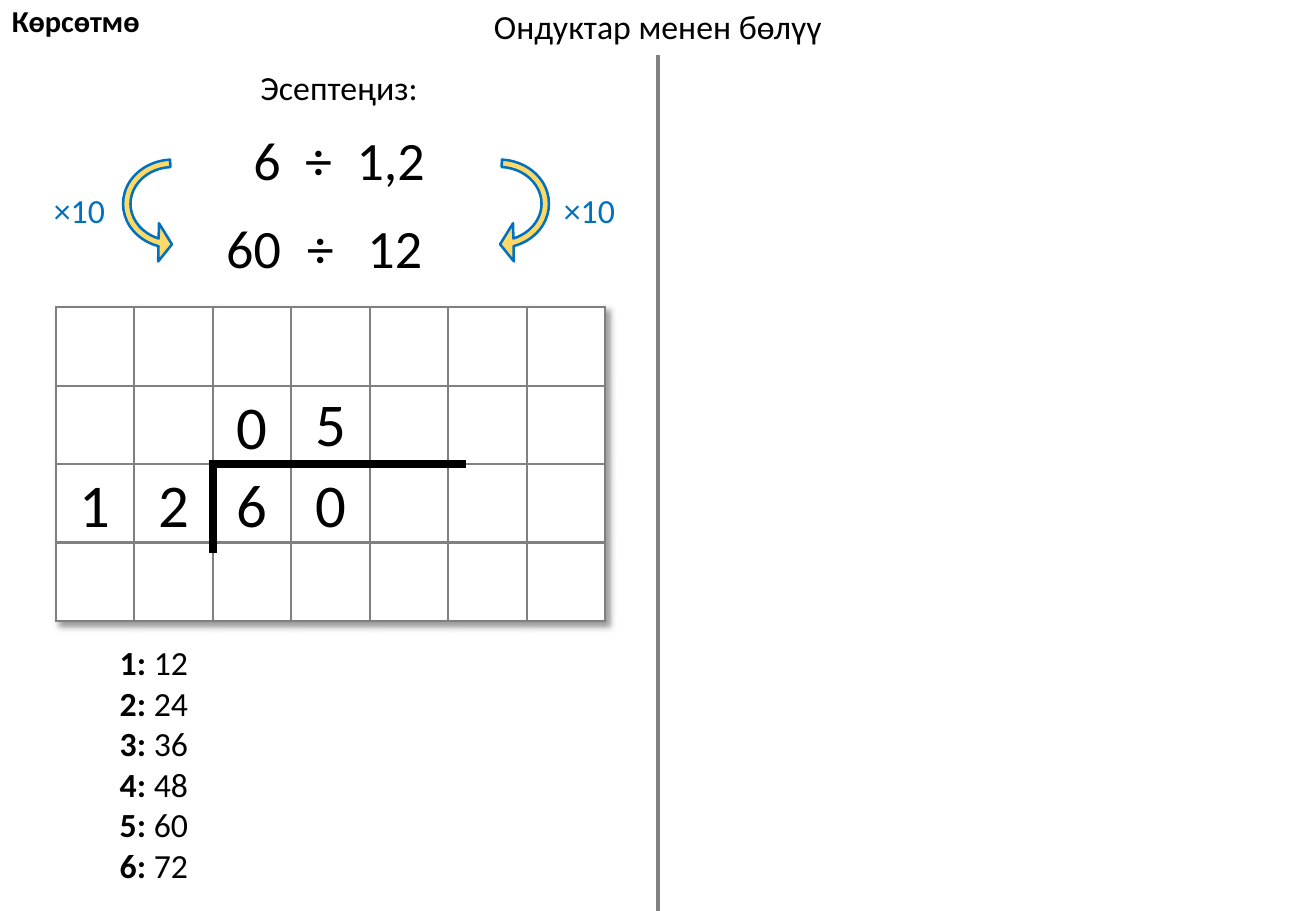
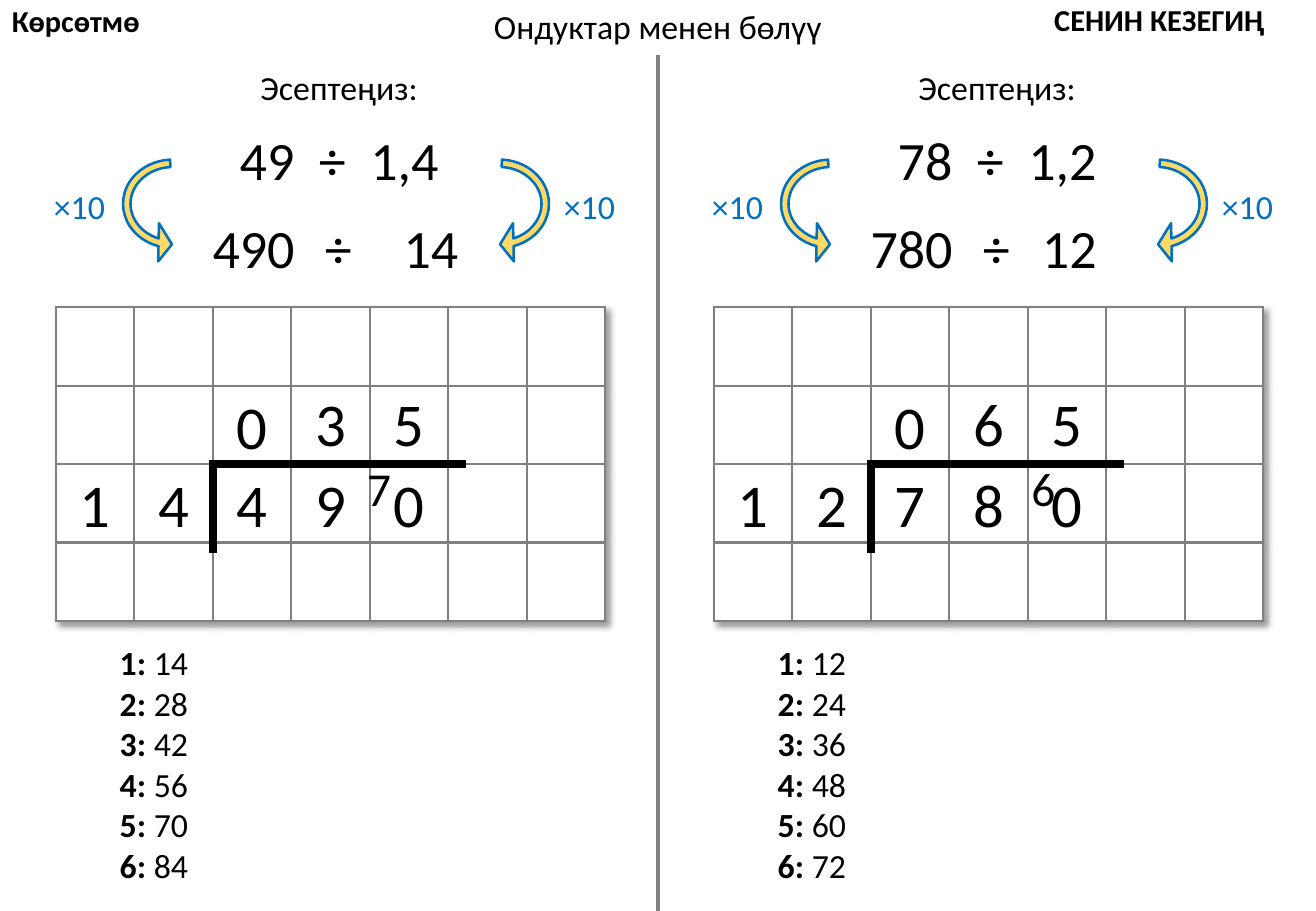
from dataclasses import dataclass

from lxml import etree
from pptx import Presentation, util as u
from pptx.dml.color import RGBColor
from pptx.enum import shapes, text
from pptx.oxml.ns import qn

BLACK = RGBColor(0x00, 0x00, 0x00)
WHITE = RGBColor(0xFF, 0xFF, 0xFF)
GRAY = RGBColor(0x80, 0x80, 0x80)
BLUE = RGBColor(0x00, 0x70, 0xC0)
GOLD = RGBColor(0xFF, 0xD9, 0x66)
FONT = "Calibri"
WIDTH, HEIGHT = u.Inches(10.83), u.Inches(7.5)
GRID_LEFT, GRID_TOP = u.Inches(0.46), u.Inches(2.53)
COLUMNS, ROWS = 7, 4
CELL = u.Inches(4.52) / COLUMNS
DIGIT_EM = 0.51
ARROW_ADJUSTMENTS = (0.0625, 11.423, 203.847, 110.164, 0.16)
CENTER = text.PP_ALIGN.CENTER


@dataclass
class Division:
    """One worked division and the places of its loose parts, in grid cells."""
    dividend: str
    divisor: str
    scaled: tuple
    quotient: str
    carried: tuple = ()
    factor_row: float = -1.28


def write(box, paragraphs, size, color=BLACK, align=CENTER):
    """Fill a box with paragraphs made of (text, bold) runs."""
    frame = box.text_frame
    frame.word_wrap = False
    frame.auto_size = text.MSO_AUTO_SIZE.SHAPE_TO_FIT_TEXT
    frame.vertical_anchor = text.MSO_ANCHOR.TOP
    for number, runs in enumerate(paragraphs):
        paragraph = frame.add_paragraph() if number else frame.paragraphs[0]
        paragraph.alignment = align
        for words, bold in runs:
            run = paragraph.add_run()
            run.text = words
            run.font.name, run.font.size, run.font.bold = FONT, u.Pt(size), bold
            run.font.color.rgb = color


def add_line(slide, start, end, color, weight):
    """Draw a straight line between two points."""
    line = slide.shapes.add_connector(shapes.MSO_CONNECTOR.STRAIGHT,
                                      *(int(v) for v in (*start, *end)))
    line.line.color.rgb, line.line.width = color, u.Pt(weight)
    etree.SubElement(line._element.spPr, qn("a:effectLst"))


def add_label(slide, center, paragraphs, size, ems, color=BLACK):
    """Place a text box, sized from its text, around a centre point."""
    width = u.Pt(ems * size) + u.Inches(0.2)
    height = u.Pt(1.22 * size * len(paragraphs)) + u.Inches(0.1)
    box = slide.shapes.add_textbox(int(center[0] - width / 2), int(center[1] - height / 2),
                                   width, height)
    write(box, paragraphs, size, color)
    return box


def add_number(slide, center, number, size, color=BLACK):
    """Place a short number or sign around a centre point."""
    add_label(slide, center, [[(number, False)]], size, DIGIT_EM * len(number), color)


def add_tag(slide, left, top, width, words):
    """Write a bold label in a top corner."""
    box = slide.shapes.add_textbox(int(left * WIDTH), int(top * HEIGHT),
                                   int(width * WIDTH), u.Inches(0.4))
    write(box, [[(words, True)]], 18, align=text.PP_ALIGN.LEFT)


def add_squared_paper(slide, left, top):
    """Draw the ruled grid with its soft shadow."""
    table = slide.shapes.add_table(ROWS, COLUMNS, int(left), int(top),
                                   int(COLUMNS * CELL), int(ROWS * CELL)).table
    table.first_row = table.horz_banding = False
    effects = etree.Element(qn("a:effectLst"))
    shadow = etree.SubElement(effects, qn("a:outerShdw"), blurRad="50800", dist="38100",
                              dir="2700000", algn="tl", rotWithShape="0")
    shade = etree.SubElement(shadow, qn("a:srgbClr"), val=str(BLACK))
    etree.SubElement(shade, qn("a:alpha"), val="40000")
    table._tbl.tblPr.insert(0, effects)
    for cell in table.iter_cells():
        properties = cell._tc.get_or_add_tcPr()
        for side in "LRTB":
            edge = etree.SubElement(properties, qn("a:ln" + side), w=str(u.Pt(1.5)))
            fill = etree.SubElement(edge, qn("a:solidFill"))
            etree.SubElement(fill, qn("a:srgbClr"), val=str(GRAY))
        cell.fill.solid()
        cell.fill.fore_color.rgb = WHITE


def add_curved_arrow(slide, center, mirrored):
    """Draw the arrow from the first problem down to the scaled one."""
    width, height = 1.52 * CELL, 1.66 * CELL
    arrow = slide.shapes.add_shape(shapes.MSO_SHAPE.CIRCULAR_ARROW,
                                   int(center[0] - width / 2), int(center[1] - height / 2),
                                   int(width), int(height))
    for index, value in enumerate(ARROW_ADJUSTMENTS):
        arrow.adjustments[index] = value
    arrow.rotation = 90
    if mirrored:
        arrow._element.spPr.xfrm.set("flipV", "1")
    arrow.shadow.inherit = False
    arrow.fill.solid()
    arrow.fill.fore_color.rgb = GOLD
    arrow.line.color.rgb, arrow.line.width = BLUE, u.Pt(1.5)


def add_panel(slide, left, division):
    """Build one half of the slide from its left edge."""
    def at(column, row):
        """Turn grid columns and rows into a point."""
        return left + GRID_LEFT + column * CELL, GRID_TOP + row * CELL

    add_squared_paper(slide, *at(0, 0))
    add_line(slide, at(1.95, 2), at(5.23, 2), BLACK, 4.5)
    add_line(slide, at(2, 1.98), at(2, 3.13), BLACK, 4.5)

    add_label(slide, at(3.61, -2.8), [[("Эсептеңиз:", False)]], 20, 4.72)
    parts = (division.dividend, " ", "÷", " ", division.divisor)
    problem = add_label(slide, at(3.61, -1.89), [[(part, False) for part in parts]], 32,
                        DIGIT_EM * len("".join(parts)) - 0.33)
    for run in problem.text_frame.paragraphs[0].runs:
        if run.text == " ":
            run._r.get_or_add_rPr().set("spc", "720")
    for number, column in division.scaled:
        add_number(slide, at(column, -0.76), number, 32)

    for arrow_column, factor_column, mirrored in ((5.65, 6.8, False), (1.49, 0.3, True)):
        add_curved_arrow(slide, at(arrow_column, -1.32), mirrored)
        add_number(slide, at(factor_column, division.factor_row), "×10", 20, BLUE)

    scaled_dividend, scaled_divisor = division.scaled[0][0], division.scaled[-1][0]
    for column, digit in enumerate(scaled_divisor + scaled_dividend):
        add_number(slide, at(column + 0.5, 2.51), digit, 36)
    for column, digit in enumerate(division.quotient, 2):
        add_number(slide, at(column + 0.5, 1.51 if column == 2 else 1.48), digit, 36)
    if division.carried:
        digit, column = division.carried
        add_number(slide, at(column, 2.3), digit, 28)

    multiples = [[(f"{n}:", True), (f" {n * int(scaled_divisor)}", False)]
                 for n in range(1, 7)]
    add_label(slide, at(1.25, 5.84), multiples, 20, 2.05)


def add_lesson(deck, divisions):
    """Add a slide with the shared title, divider and one panel per division."""
    slide = deck.slides.add_slide(deck.slide_layouts[5])
    title = slide.shapes.title
    title.width, title.height = u.Inches(2.93), u.Inches(0.44)
    title.left, title.top = (WIDTH - title.width) // 2, 0
    write(title, [[("Ондуктар менен бөлүү", False)]], 20)
    add_line(slide, (WIDTH / 2, 0.06 * HEIGHT), (WIDTH / 2, HEIGHT), GRAY, 2.25)
    add_tag(slide, 0, -0.004, 0.127, "Көрсөтмө")
    for half, division in enumerate(divisions):
        add_panel(slide, half * WIDTH / 2, division)
    if len(divisions) > 1:
        add_tag(slide, 0.792, -0.005, 0.21, "СЕНИН КЕЗЕГИҢ")


def main():
    """Build and save the two lessons."""
    deck = Presentation()
    deck.slide_width, deck.slide_height = WIDTH, HEIGHT
    example = Division("6", "1,2", (("60", 2.52), ("÷", 3.37), ("12", 4.32)), "05",
                       factor_row=-1.24)
    shown = Division("49", "1,4", (("490", 2.52), ("÷", 3.6), ("14", 4.78)), "035", ("7", 4.12))
    your_turn = Division("78", "1,2", (("780", 2.52), ("÷", 3.6), ("12", 4.53)), "065",
                         ("6", 4.2))
    for divisions in ((example,), (shown, your_turn)):
        add_lesson(deck, divisions)
    deck.save("out.pptx")


if __name__ == "__main__":
    main()
